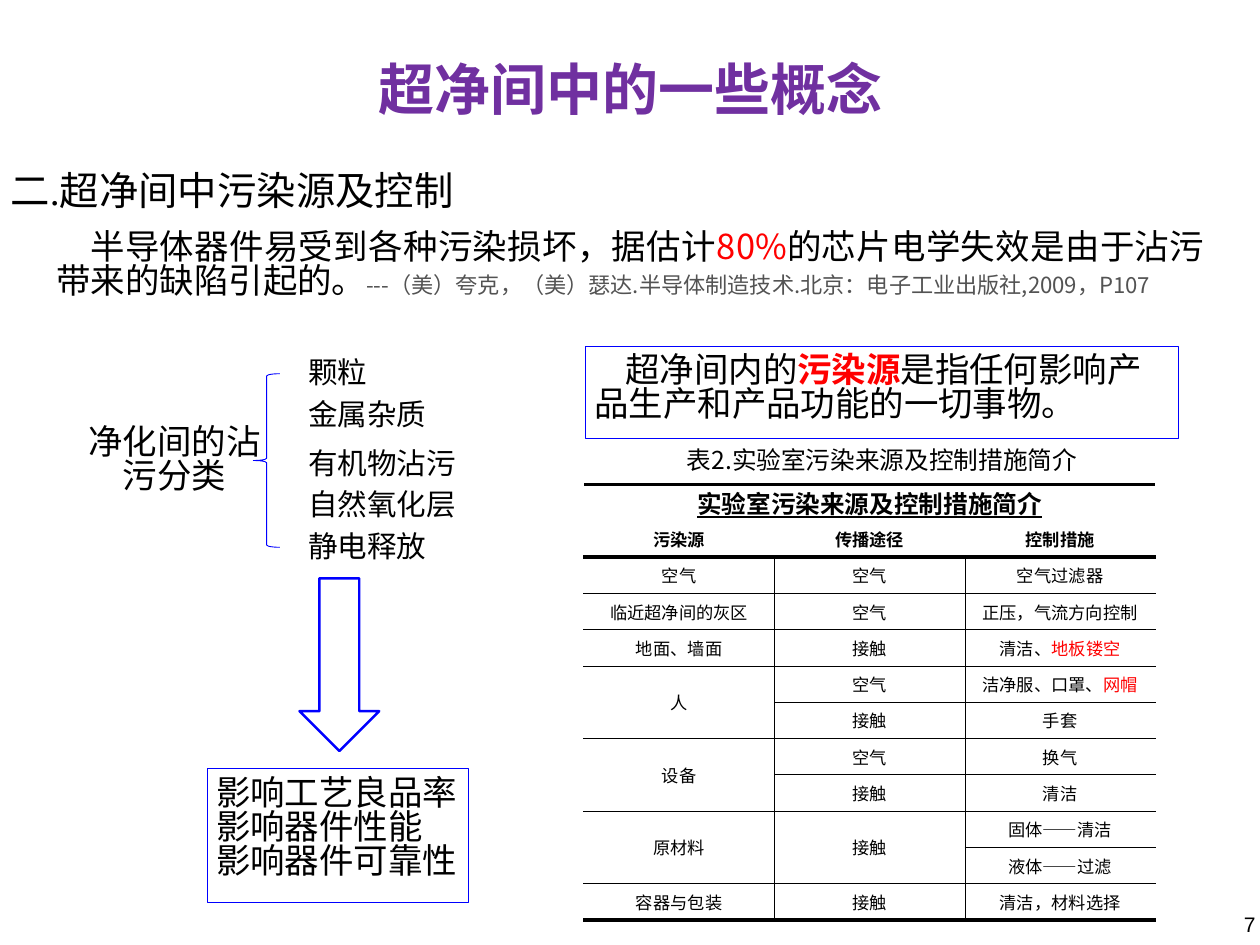
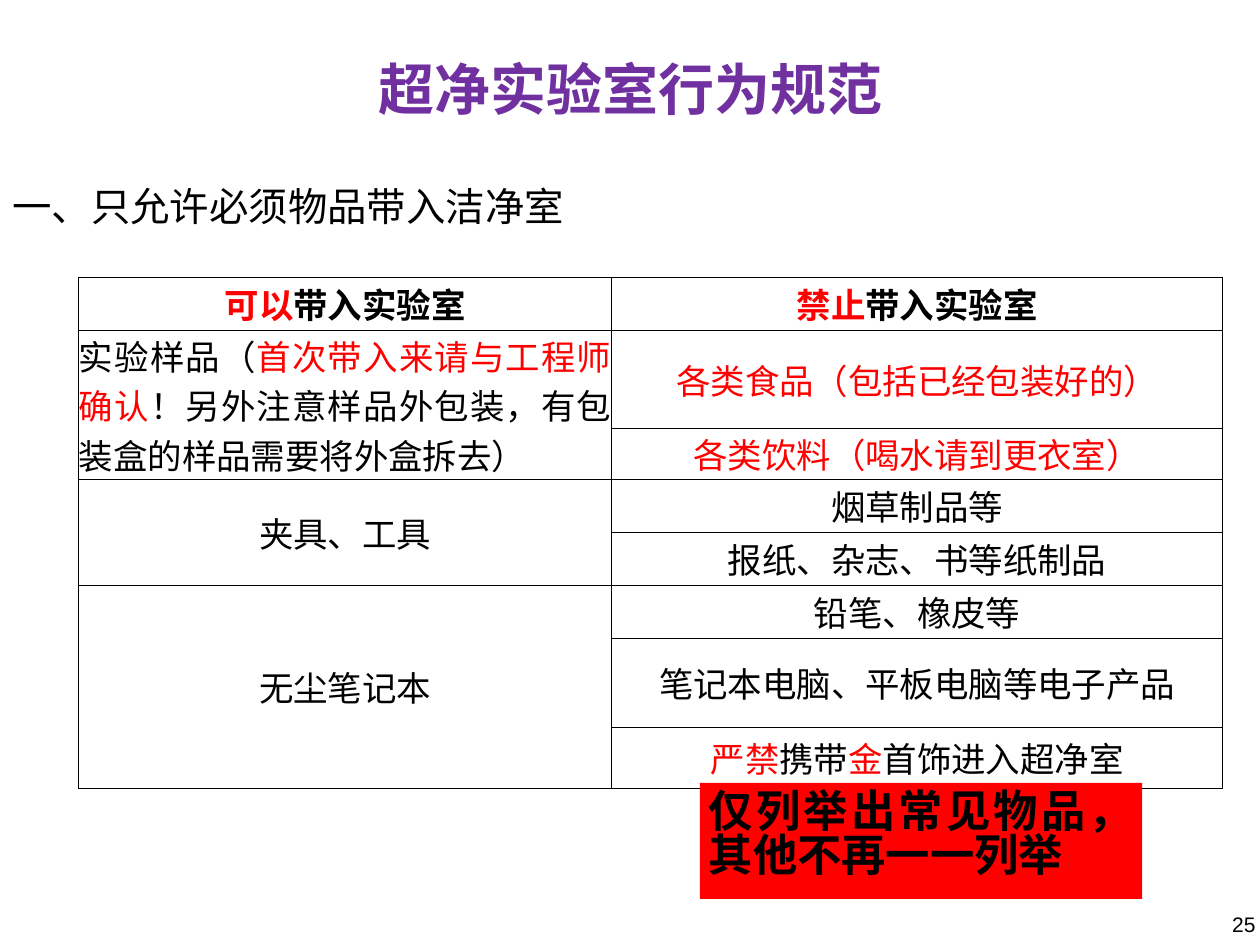
from pptx import Presentation
from pptx.util import Inches, Pt
from pptx.dml.color import RGBColor
from pptx.enum.shapes import MSO_SHAPE as SHAPE
from pptx.enum.text import PP_ALIGN as AL, MSO_ANCHOR as ANC
from pptx.oxml.ns import qn
from lxml.etree import SubElement

THEME = dict(
    black="000000", white="FFFFFF", red="FF0000", blue="0000FF", purple="7030A0", grey="535353",
    cjk="Noto Sans CJK SC", serif="Times New Roman", sans="Arial",
    title=45.5, callout=36, heading=32, body=28, item=24, caption=20, cite=18, number=17.1, cell=14,
)
RED = dict(color="red")


def write(tf, text, size="body", font="cjk", color="black", bold=False, underline=False,
          align=AL.LEFT, spacing=None, indent=0, anchor=ANC.TOP):
    tf.word_wrap = True
    tf.vertical_anchor = anchor
    lines = text if isinstance(text, list) else [text]
    for i, line in enumerate(lines):
        p = tf.paragraphs[0] if i == 0 else tf.add_paragraph()
        p.alignment = align
        if spacing:
            p.line_spacing = spacing
        if indent:
            pPr = p._p.get_or_add_pPr()
            pPr.set("marL", "0")
            pPr.set("indent", str(Inches(indent)))
        for part in line if isinstance(line, tuple) else (line,):
            words, own = part if isinstance(part, list) else (part, {})
            r = p.add_run()
            r.text = words
            f = r.font
            f.size = Pt(THEME[own.get("size", size)])
            f.name = THEME[font]
            f.bold = own.get("bold", bold)
            f.underline = underline
            f.color.rgb = RGBColor.from_string(THEME[own.get("color", color)])
            SubElement(r._r.get_or_add_rPr(), qn("a:ea"), typeface=THEME["cjk"])


def border(cell, edges):
    tcPr = cell._tc.get_or_add_tcPr()
    for side, (color, width) in zip("LRTB", edges):
        ln = SubElement(tcPr, qn(f"a:ln{side}"), w=str(Pt(width)))
        SubElement(SubElement(ln, qn("a:solidFill")), qn("a:srgbClr"), val=THEME[color])
    cell.fill.background()


prs = Presentation()
prs.slide_width, prs.slide_height = Inches(14.22), Inches(10.67)

THIN, MEDIUM, THICK, CLEAR = ("black", 0.75), ("black", 1), ("black", 3), ("white", 1)
center = dict(align=AL.CENTER)
tight = dict(spacing=0.83)

pages = [
    dict(
        title="超净间中的一些概念", number="7",
        texts=[
            ((0.54, 2.52, 13.15, 1.04), (
                "半导体器件易受到各种污染损坏，据估计", ["80%", RED],
                "的芯片电学失效是由于沾污带来的缺陷引起的。",
                ["---（美）夸克，（美）瑟达.半导体制造技术.北京：电子工业出版社,2009，P107",
                 dict(size="cite", color="grey")]), dict(align=AL.JUSTIFY, indent=0.38)),
            ((0.02, 1.87, 5.6, 0.64), "二.超净间中污染源及控制", dict(size="heading", font="serif")),
            ((6.4, 4.98, 7.11, 0.5), "表2.实验室污染来源及控制措施简介", dict(size="caption", **center)),
            ((0.9, 4.72, 2.14, 1.04), "净化间的沾污分类", center),
        ] + [
            ((3.38, top, 2, 0.5), label, dict(size="item"))
            for top, label in zip((3.97, 4.44, 4.99, 5.46, 5.93),
                                  ("颗粒", "金属杂质", "有机物沾污", "自然氧化层", "静电释放"))
        ],
        shapes=[
            (SHAPE.RECTANGLE, (2.34, 8.68, 2.95, 1.51), None, 0.75,
             ["影响工艺良品率", "影响器件性能", "影响器件可靠性"], {}),
            (SHAPE.LEFT_BRACE, (2.86, 4.22, 0.3, 1.96), None, 0.75, None, {}),
            (SHAPE.RECTANGLE, (6.61, 3.91, 6.69, 1.04), None, 0.75,
             ("超净间内的", ["污染源", dict(color="red", bold=True)],
              "是指任何影响产品生产和产品功能的一切事物。"), dict(indent=0.35)),
            (SHAPE.DOWN_ARROW, (3.38, 6.53, 0.9, 1.95), None, 2, None, {}),
        ],
        at=(6.59, 5.47), cols=[2.15] * 3, rows=[0.41] * 12,
        merges=[(0, 0, 0, 2), (5, 0, 6, 0), (7, 0, 8, 0), (9, 0, 10, 0), (9, 1, 10, 1)],
        cells=[
            ["实验室污染来源及控制措施简介", None, None],
            ["污染源", "传播途径", "控制措施"],
            ["空气", "空气", "空气过滤器"],
            ["临近超净间的灰区", "空气", "正压，气流方向控制"],
            ["地面、墙面", "接触", ("清洁、", ["地板镂空", RED])],
            ["人", "空气", ("洁净服、口罩、", ["网帽", RED])],
            [None, "接触", "手套"],
            ["设备", "空气", "换气"],
            [None, "接触", "清洁"],
            ["原材料", "接触", "固体——清洁"],
            [None, None, "液体——过滤"],
            ["容器与包装", "接触", "清洁，材料选择"],
        ],
        formats={(0, 0): dict(size="caption", underline=True)},
        style=dict(size="cell", font="serif"), bold_rows=2,
        across=lambda i: THICK if i in (0, 2, 12) else CLEAR if i == 1 else THIN,
        down=lambda i, j: CLEAR if i < 2 or j in (0, 3) else THIN,
    ),
    dict(
        title="超净实验室行为规范", number="25",
        texts=[((0.04, 2.05, 6.92, 0.63), "一、只允许必须物品带入洁净室",
                dict(size="heading", font="serif"))],
        shapes=[(SHAPE.RECTANGLE, (7.9, 8.84, 4.99, 1.31), "red", 0,
                 "仅列举出常见物品，其他不再一一列举",
                 dict(size="callout", bold=True, align=AL.JUSTIFY))],
        at=(0.89, 3.13), cols=[6.01, 6.9], rows=[0.6, 1.11, 0.57, 0.6, 0.6, 0.6, 1, 0.69],
        merges=[(1, 0, 2, 0), (3, 0, 4, 0), (5, 0, 7, 0)],
        cells=[
            [(["可以", RED], "带入实验室"), (["禁止", RED], "带入实验室")],
            [("实验样品（", ["首次带入来请与工程师确认", RED],
              "！另外注意样品外包装，有包装盒的样品需要将外盒拆去）"),
             (["各类食品（包括已经包装好的）", RED],)],
            [None, (["各类饮料（喝水请到更衣室）", RED],)],
            ["夹具、工具", "烟草制品等"],
            [None, "报纸、杂志、书等纸制品"],
            ["无尘笔记本", "铅笔、橡皮等"],
            [None, "笔记本电脑、平板电脑等电子产品"],
            [None, (["严禁", RED], "携带", ["金", RED], "首饰进入超净室")],
        ],
        formats={(1, 0): dict(align=AL.JUSTIFY)},
        style={}, bold_rows=1,
        across=lambda i: MEDIUM, down=lambda i, j: MEDIUM,
    ),
]

for page in pages:
    s = prs.slides.add_slide(prs.slide_layouts[6])

    tf = s.shapes.add_textbox(*map(Inches, (1.62, 0.47, 10.99, 1.05))).text_frame
    write(tf, page["title"], size="title", font="serif", color="purple", bold=True,
          anchor=ANC.MIDDLE, **center)
    tf = s.shapes.add_textbox(*map(Inches, (10.96, 10.2, 3.26, 0.47))).text_frame
    tf.margin_right = Inches(0.05)
    write(tf, page["number"], size="number", font="sans", align=AL.RIGHT, anchor=ANC.MIDDLE)

    frame = s.shapes.add_table(len(page["rows"]), len(page["cols"]), *map(Inches, page["at"]),
                               Inches(sum(page["cols"])), Inches(sum(page["rows"])))
    table = frame.table
    table.first_row = table.horz_banding = False
    for col, width in zip(table.columns, page["cols"]):
        col.width = Inches(width)
    for row, height in zip(table.rows, page["rows"]):
        row.height = Inches(height)
    for top, left, bottom, right in page["merges"]:
        table.cell(top, left).merge(table.cell(bottom, right))
    for i, row in enumerate(page["cells"]):
        for j, text in enumerate(row):
            cell = table.cell(i, j)
            end_row, end_col = i + cell.span_height, j + cell.span_width
            if cell.is_spanned:
                end_row, end_col = i + 1, j + 1
            border(cell, (page["down"](i, j), page["down"](i, end_col),
                          page["across"](i), page["across"](end_row)))
            cell.margin_left = cell.margin_right = cell.margin_top = cell.margin_bottom = 0
            cell.vertical_anchor = ANC.MIDDLE
            if text:
                look = {**center, **page["style"], **page["formats"].get((i, j), {})}
                write(cell.text_frame, text, bold=i < page["bold_rows"], anchor=ANC.MIDDLE, **look)

    for kind, box, fill, weight, text, look in page["shapes"]:
        sp = s.shapes.add_shape(kind, *map(Inches, box))
        sp.shadow.inherit = False
        if fill:
            sp.fill.solid()
            sp.fill.fore_color.rgb = RGBColor.from_string(THEME[fill])
            sp.line.fill.background()
        else:
            sp.fill.background()
            sp.line.color.rgb = RGBColor.from_string(THEME["blue"])
            sp.line.width = Pt(weight)
        if text:
            sp.text_frame.margin_top, sp.text_frame.margin_bottom = Inches(0.1), 0
            write(sp.text_frame, text, **tight, **look)

    for box, text, look in page["texts"]:
        tf = s.shapes.add_textbox(*map(Inches, box)).text_frame
        tf.margin_top, tf.margin_bottom = Inches(0.1), 0
        write(tf, text, **tight, **look)

prs.save("out.pptx")
